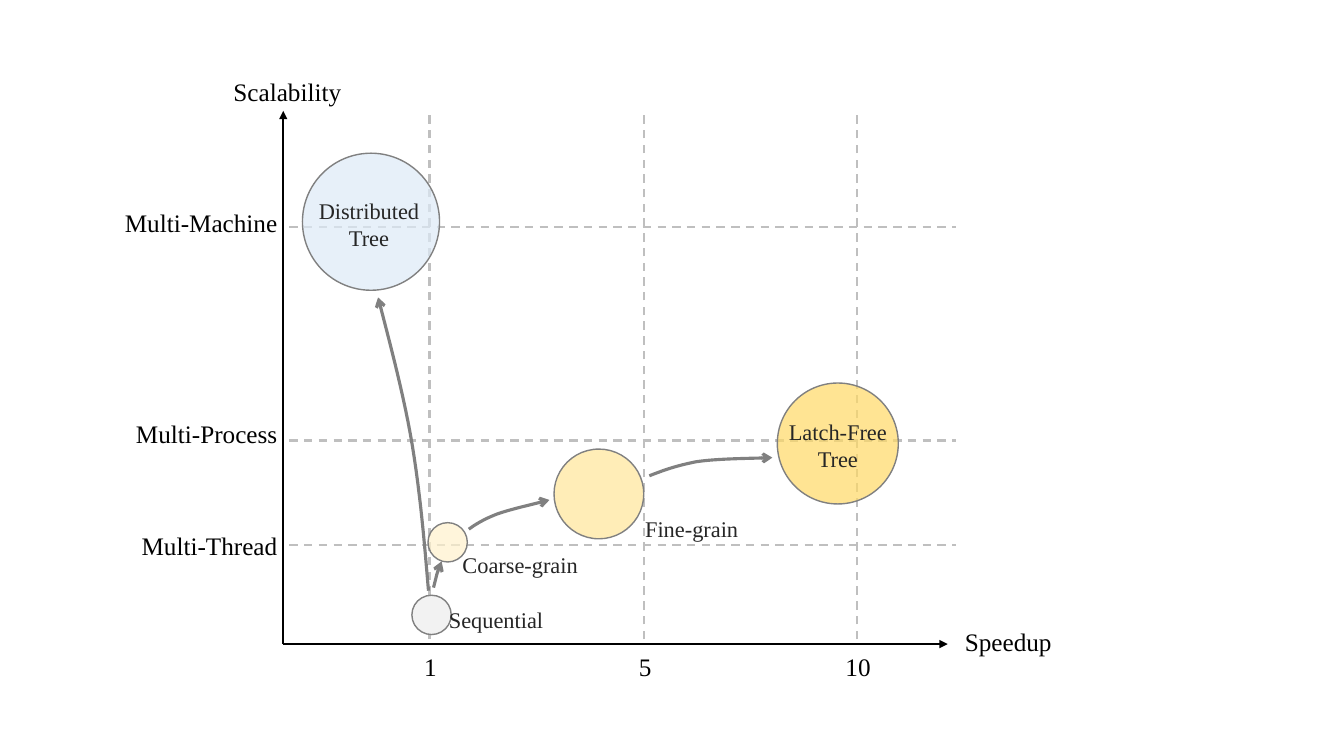
from collections import namedtuple

from lxml.etree import SubElement
from pptx import Presentation
from pptx.dml.color import RGBColor
from pptx.enum.dml import MSO_LINE
from pptx.enum.shapes import MSO_CONNECTOR, MSO_SHAPE
from pptx.enum.text import MSO_ANCHOR, MSO_AUTO_SIZE, PP_ALIGN
from pptx.oxml.ns import qn
from pptx.util import Inches, Pt

FONT = "Times New Roman"
COLORS = {
    "axis": "000000", "grid": "BFBFBF", "outline": "808080", "label": "262626",
    "sequential": "F2F2F2", "coarse": "FFF2CC", "fine": "FFE699",
    "latch_free": "FFD966", "distributed": "DEEBF7",
}
Box = namedtuple("Box", "left top width height")
PLOT = Box(2.8, 1.1, 6.6, 5.29)

# Offsets in inches from the plot's top left corner
LEVELS = [("Multi-Machine", 1.15, 1.11, 1.73),  # name, grid y, label y, label width
          ("Multi-Process", 3.27, 3.2, 1.62),
          ("Multi-Thread", 4.31, 4.31, 1.56)]
SPEEDUPS = [("1", 1.46, 0.33), ("5", 3.59, 0.33), ("10", 5.7, 0.45)]
BUBBLES = [("sequential", 1.48, 5, 0.39, 1),  # colour, centre x, y, diameter, opacity
           ("coarse", 1.64, 4.28, 0.39, 0.7),
           ("fine", 3.14, 3.8, 0.89, 0.7),
           ("latch_free", 5.51, 3.3, 1.2, 0.7),
           ("distributed", 0.88, 1.1, 1.36, 0.7)]
BUBBLE_LABELS = [("Distributed\vTree", 0.86, 1.13, 1.22, 0.64),  # centre x, y, size
                 ("Latch-Free\vTree", 5.51, 3.32, 1.19, 0.64),
                 ("Fine-grain", 4.06, 4.15, 1.14, 0.37),
                 ("Coarse-grain", 2.36, 4.5, 1.36, 0.37),
                 ("Sequential", 2.12, 5.05, 1.15, 0.37)]
# Each route is a start point followed by three points per Bezier segment
ROUTES = [
    [(1.5, 4.73), (1.51, 4.69), (1.52, 4.65), (1.53, 4.61),
     (1.54, 4.57), (1.56, 4.52), (1.58, 4.47)],
    [(1.85, 4.15), (1.92, 4.1), (2, 4.05), (2.13, 4),
     (2.27, 3.95), (2.46, 3.91), (2.65, 3.86)],
    [(3.64, 3.62), (3.77, 3.57), (3.9, 3.52), (4.11, 3.48),
     (4.31, 3.45), (4.58, 3.45), (4.86, 3.44)],
    [(1.45, 4.76), (1.41, 4.28), (1.37, 3.81), (1.29, 3.32),
     (1.21, 2.84), (1.08, 2.35), (0.95, 1.85)],
]


def rgb(name):
    """Return the named colour."""
    return RGBColor.from_string(COLORS[name])


def style_line(shape, color, width, arrow=None):
    """Set a line's colour and width, with an optional arrowhead at its end."""
    shape.line.color.rgb = rgb(color)
    shape.line.width = Pt(width)
    if arrow:
        SubElement(shape.line._get_or_add_ln(), qn("a:tailEnd"), type=arrow)


def add_line(slide, box, start, end, color, arrow=None):
    """Draw a straight line between two offsets in the box."""
    ends = [Inches(v) for x, y in (start, end) for v in (box.left + x, box.top + y)]
    line = slide.shapes.add_connector(MSO_CONNECTOR.STRAIGHT, *ends)
    SubElement(line._element.spPr, qn("a:effectLst"))
    style_line(line, color, 1.5, arrow)
    return line


def add_label(slide, box, text, center, size, points=18, color="axis",
              align=PP_ALIGN.CENTER):
    """Write text centred on an offset in the box."""
    (x, y), (width, height) = center, size
    label = slide.shapes.add_textbox(
        Inches(box.left + x - width / 2), Inches(box.top + y - height / 2),
        Inches(width), Inches(height))
    frame = label.text_frame
    frame.text = text
    frame.word_wrap = False
    frame.auto_size = MSO_AUTO_SIZE.SHAPE_TO_FIT_TEXT
    frame.vertical_anchor = MSO_ANCHOR.TOP
    for paragraph in frame.paragraphs:
        paragraph.alignment = align
        for run in paragraph.runs:
            run.font.name = FONT
            run.font.size = Pt(points)
            run.font.color.rgb = rgb(color)


def draw_axes(slide, box):
    """Draw both axes with their titles."""
    corner = (0.01, box.height)
    add_line(slide, box, corner, (box.width, box.height), "axis", "triangle")
    add_line(slide, box, corner, (0.01, 0), "axis", "triangle")
    add_label(slide, box, "Speedup", (7.2, 5.26), (1.07, 0.4))
    add_label(slide, box, "Scalability", (0.05, -0.19), (1.28, 0.4))


def draw_grid(slide, box):
    """Draw the dashed grid and name its levels and speedups."""
    lines = [((0.07, y), (box.width + 0.08, y)) for _, y, _, _ in LEVELS]
    lines += [((x, box.height - 0.05), (x, 0)) for _, x, _ in SPEEDUPS]
    for start, end in lines:
        add_line(slide, box, start, end, "grid").line.dash_style = MSO_LINE.DASH
    for name, _, y, width in LEVELS:
        add_label(slide, box, name, (0.05 - width / 2, y), (width, 0.4),
                  align=PP_ALIGN.RIGHT)
    for name, x, width in SPEEDUPS:
        add_label(slide, box, name, (x + 0.01, box.height + 0.22), (width, 0.4))


def draw_bubbles(slide, box):
    """Draw one circle for each kind of tree."""
    for color, x, y, diameter, opacity in BUBBLES:
        bubble = slide.shapes.add_shape(
            MSO_SHAPE.OVAL, Inches(box.left + x - diameter / 2),
            Inches(box.top + y - diameter / 2), Inches(diameter), Inches(diameter))
        bubble.shadow.inherit = False
        bubble.fill.solid()
        bubble.fill.fore_color.rgb = rgb(color)
        if opacity < 1:
            fill = bubble._element.spPr.find(qn("a:solidFill"))
            SubElement(fill[0], qn("a:alpha"), val=str(round(opacity * 100000)))
        style_line(bubble, "outline", 1)


def curve_points(route, steps=12):
    """Sample a chain of cubic Bezier segments."""
    points = [route[0]]
    for i in range(0, len(route) - 1, 3):
        for step in range(1, steps + 1):
            t = step / steps
            weights = ((1 - t) ** 3, 3 * t * (1 - t) ** 2, 3 * t * t * (1 - t), t ** 3)
            points.append(tuple(sum(w * p[axis] for w, p in zip(weights, route[i:i + 4]))
                                for axis in (0, 1)))
    return points


def draw_routes(slide, box):
    """Draw the curved arrows from one tree to the next."""
    for route in ROUTES:
        start, *rest = [(Inches(box.left + x), Inches(box.top + y))
                        for x, y in curve_points(route)]
        builder = slide.shapes.build_freeform(*start)
        builder.add_line_segments(rest, close=False)
        arrow = builder.convert_to_shape()
        arrow.shadow.inherit = False
        arrow.fill.background()
        style_line(arrow, "outline", 2.25, "arrow")


def draw_bubble_labels(slide, box):
    """Name the trees."""
    for text, x, y, width, height in BUBBLE_LABELS:
        add_label(slide, box, text, (x, y), (width, height), 16, "label")


def build_slide(presentation, box):
    """Add the scalability and speedup slide."""
    slide = presentation.slides.add_slide(presentation.slide_layouts[6])
    for draw in (draw_axes, draw_grid, draw_bubbles, draw_routes, draw_bubble_labels):
        draw(slide, box)


presentation = Presentation()
presentation.slide_width = Inches(13.33)
presentation.slide_height = Inches(7.5)
build_slide(presentation, PLOT)
presentation.save("out.pptx")
